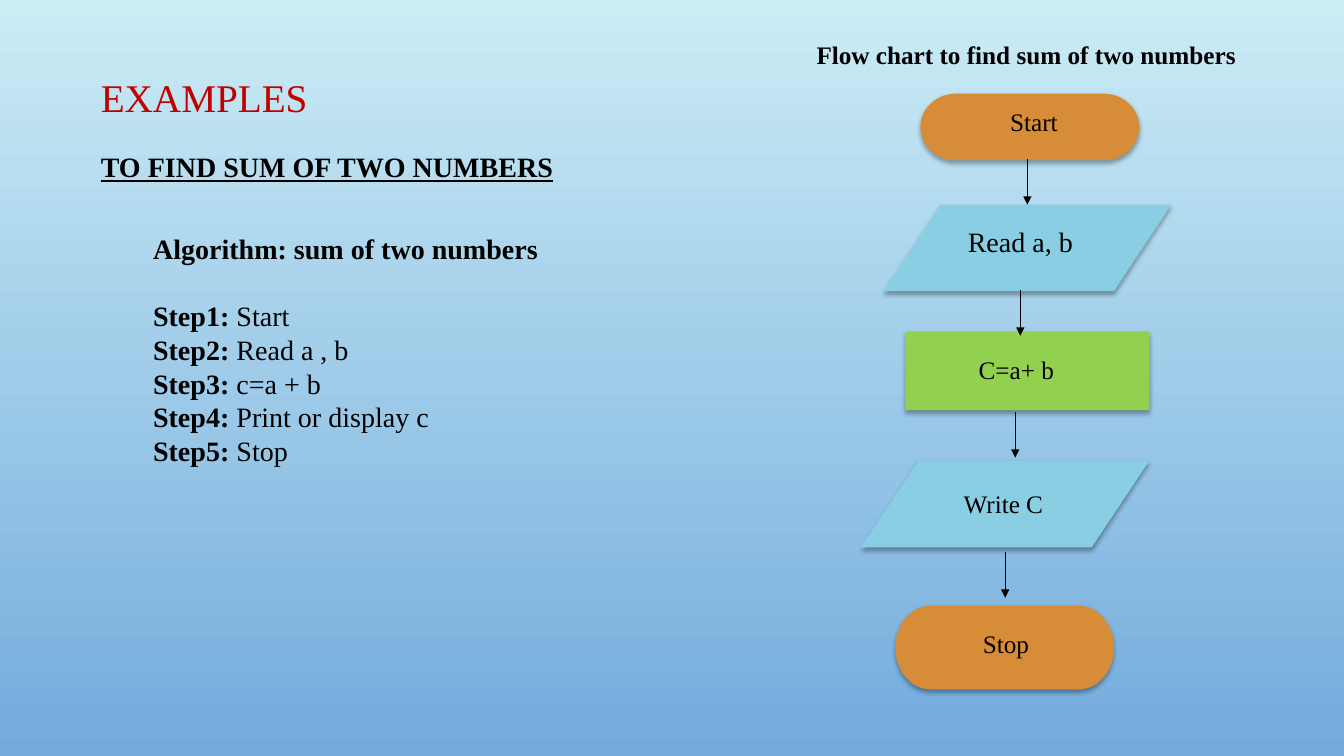
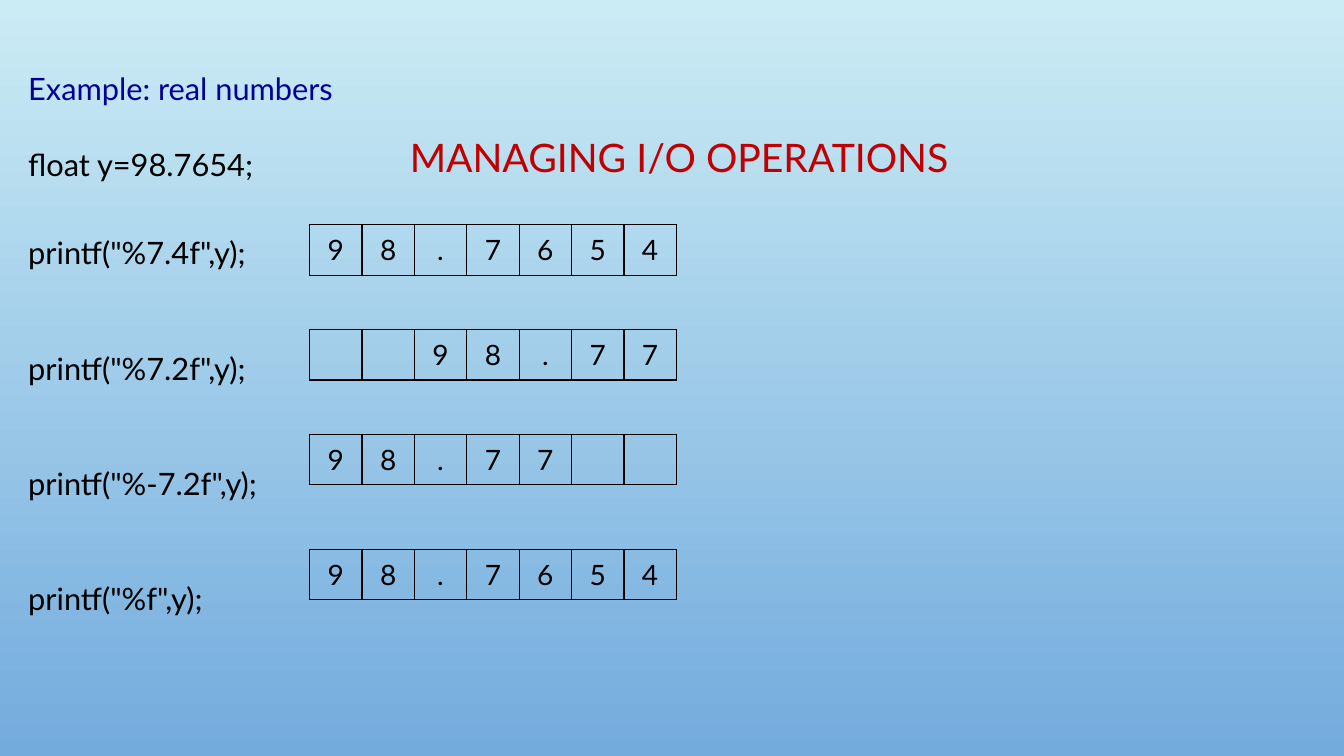
import pptx
import pptx.util
import pptx.dml.color
import pptx.enum.shapes
import pptx.enum.text
import pptx.oxml.ns
import lxml.etree

Inches = pptx.util.Inches
Pt = pptx.util.Pt
kinds = pptx.enum.shapes.MSO_SHAPE
aligns = pptx.enum.text.PP_ALIGN
qn = pptx.oxml.ns.qn

hues = {
    "sky": "CBECF5", "sea": "73ABDD", "red": "C00000", "ink": "000000",
    "navy": "000099", "clay": "D78D38", "aqua": "8ACEE4", "lime": "92D050",
}
tints = {name: pptx.dml.color.RGBColor.from_string(code) for name, code in hues.items()}
serif = "Times New Roman"
sans = "Lato"
flush = {"margin_left": 0, "margin_right": 0, "margin_top": 0, "margin_bottom": 0}


def node(root, tag, **marks):
    return lxml.etree.SubElement(root, qn(tag), marks)


def write(frame, rows, look, hue="ink", form={}, para={}):
    settings = {"word_wrap": True, "auto_size": pptx.enum.text.MSO_AUTO_SIZE.NONE, **form}
    for key, value in settings.items():
        setattr(frame, key, value)
    for spot, runs in enumerate(rows):
        line = frame.add_paragraph() if spot else frame.paragraphs[0]
        for key, value in para.items():
            setattr(line, key, value)
        for text, extra in runs:
            run = line.add_run()
            run.text = text
            for key, value in {**look, **extra}.items():
                setattr(run.font, key, value)
            run.font.color.rgb = tints[hue]


deck = pptx.Presentation()
deck.slide_width = Inches(13.33)
deck.slide_height = Inches(7.5)
back = deck.slide_master.background.fill
back.gradient()
back.gradient_angle = 270
for stop, hue, place in zip(back.gradient_stops, ("sky", "sea"), (0, 1)):
    stop.color.rgb = tints[hue]
    stop.position = place

heads = [
    ("EXAMPLES", 0.57, serif, aligns.LEFT, 0),
    ("MANAGING I/O OPERATIONS", 1.75, sans, aligns.CENTER, 0.14),
]
slides = []
for text, height, face, align, inset in heads:
    slide = deck.slides.add_slide(deck.slide_layouts[5])
    title = slide.shapes.title
    place = {"left": 1, "top": 0.68, "width": 11.33, "height": height}
    for key, value in place.items():
        setattr(title, key, Inches(value))
    form = {**flush, "margin_left": Inches(inset),
            "vertical_anchor": pptx.enum.text.MSO_ANCHOR.MIDDLE}
    write(title.text_frame, [[(text, {})]], {"name": face, "size": Pt(28)}, "red",
          form, {"alignment": align})
    slides.append(slide)
flow, code = slides

bold = {"name": serif, "size": Pt(20), "bold": True}
box = flow.shapes.add_textbox(Inches(1), Inches(1.42), Inches(11.33), Inches(0.6))
write(box.text_frame, [[("TO FIND SUM OF TWO NUMBERS", {"underline": True})]], bold,
      form=flush, para={"line_spacing": 1.2})

steps = ["Start", "Read a , b", "c=a + b", "Print or display c", "Stop"]
rows = [[("Algorithm: sum of two numbers", {})]]
for count, step in enumerate(steps, 1):
    rows.append([(f"Step{count}: ", {}), (step, {"bold": False})])
box = flow.shapes.add_textbox(Inches(1.42), Inches(2.25), Inches(5), Inches(2.46))
write(box.text_frame, rows, bold)
box.text_frame.paragraphs[1].space_before = Pt(24)

box = flow.shapes.add_textbox(Inches(8), Inches(0.34), Inches(4.58), Inches(0.4))
write(box.text_frame, [[("Flow chart to find sum of two numbers", {})]],
      {**bold, "size": Pt(18)})

oval = kinds.FLOWCHART_TERMINATOR
slant = kinds.FLOWCHART_DATA
parts = [
    (oval, "clay", (9.13, 0.93, 2.17, 0.66), "Start", (9.92, 1.01, 1.38, 0.4), 18, aligns.LEFT),
    (slant, "aqua", (8.76, 2.03, 2.86, 0.86), "Read a, b", (9.5, 2.18, 1.58, 0.44), 20, aligns.LEFT),
    (kinds.RECTANGLE, "lime", (8.98, 3.29, 2.42, 0.78), "C=a+ b", (9.14, 3.47, 1.88, 0.4), 18, aligns.CENTER),
    (slant, "aqua", (8.54, 4.57, 2.86, 0.86), "Write C", (9.46, 4.8, 1.87, 0.4), 18, aligns.LEFT),
    (oval, "clay", (8.88, 6.01, 2.17, 0.83), "Stop", (9.65, 6.18, 1.08, 0.4), 18, aligns.LEFT),
]
for kind, hue, place, text, spot, size, align in parts:
    shape = flow.shapes.add_shape(kind, *map(Inches, place))
    shape.fill.solid()
    shape.fill.fore_color.rgb = tints[hue]
    shape.line.fill.background()
    shape.shadow.inherit = False
    glow = node(shape._element.spPr.find(qn("a:effectLst")), "a:outerShdw",
                blurRad=str(Pt(3.5)), dist=str(Pt(2.2)), dir="5400000", rotWithShape="0")
    shade = node(glow, "a:srgbClr", val=hues["ink"])
    node(shade, "a:alpha", val="32000")
    label = flow.shapes.add_textbox(*map(Inches, spot))
    write(label.text_frame, [[(text, {})]], {"name": serif, "size": Pt(size)},
          para={"alignment": align})

for x, y in [(10.19, 1.58), (10.12, 2.88), (10.07, 4.09), (9.97, 5.48)]:
    arrow = flow.shapes.add_connector(pptx.enum.shapes.MSO_CONNECTOR.STRAIGHT,
                                      Inches(x), Inches(y), Inches(x), Inches(y + 0.45))
    arrow.line.color.rgb = tints["ink"]
    arrow.line.width = Pt(0.75)
    props = arrow._element.spPr
    node(props.find(qn("a:ln")), "a:tailEnd", type="triangle")
    node(props, "a:effectLst")

lines = ["Example: real numbers", "float y=98.7654;", 'printf("%7.4f",y);',
         'printf("%7.2f",y);', 'printf("%-7.2f",y);', 'printf("%f",y);']
box = code.shapes.add_textbox(Inches(0.27), Inches(0.67), Inches(3.05), Inches(5.28))
write(box.text_frame, [[(line, {})] for line in lines], {"name": sans, "size": Pt(22)},
      form={**flush, "margin_left": Inches(0.01), "margin_top": Inches(0.02)})
paras = box.text_frame.paragraphs
paras[0].runs[0].font.color.rgb = tints["navy"]
for para, gap in zip(paras[1:], (27.9, 36.8, 55.9, 55.9, 55.9)):
    para.space_before = Pt(gap)

wide = 0.52
grids = [(2.23, "98.7654"), (3.27, "  98.77"), (4.31, "98.77  "), (5.45, "98.7654")]
for top, signs in grids:
    table = code.shapes.add_table(1, len(signs), Inches(3.07), Inches(top),
                                  Inches(wide * len(signs)), Inches(0.5)).table
    table.first_row = False
    table.horz_banding = False
    for column in table.columns:
        column.width = Inches(wide)
    for cell, sign in zip(table.rows[0].cells, signs):
        for key, value in {**flush, "margin_top": Inches(0.08)}.items():
            setattr(cell, key, value)
        props = cell._tc.get_or_add_tcPr()
        for side in "LRTB":
            edge = node(props, f"a:ln{side}", w=str(Pt(1)))
            node(node(edge, "a:solidFill"), "a:srgbClr", val=hues["ink"])
        cell.fill.background()
        if sign.strip():
            line = cell.text_frame.paragraphs[0]
            line.alignment = aligns.CENTER
            run = line.add_run()
            run.text = sign
            for key, value in {"name": sans, "size": Pt(20)}.items():
                setattr(run.font, key, value)
            run.font.color.rgb = tints["ink"]

deck.save("out.pptx")
